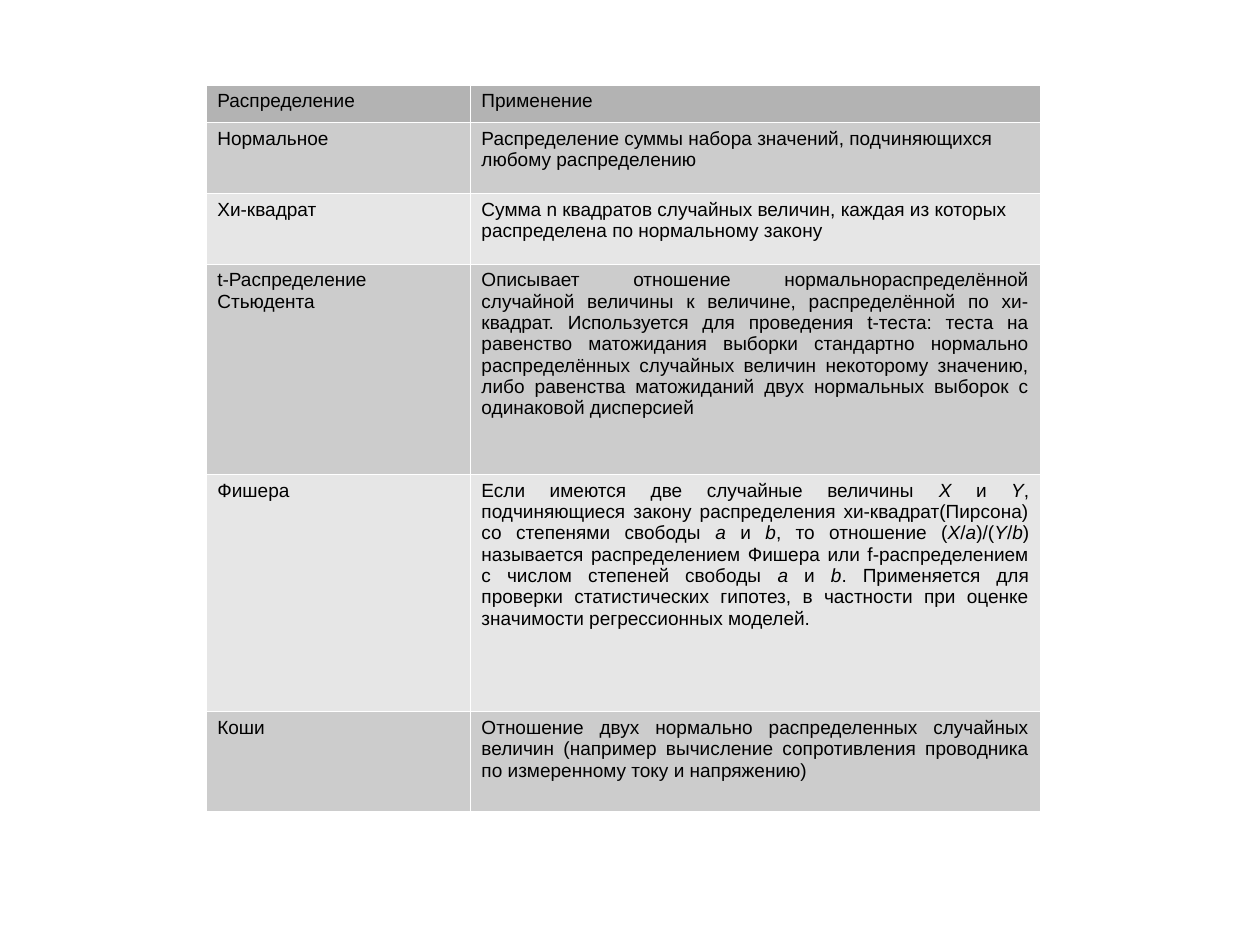
from lxml import etree
from pptx import Presentation
from pptx.dml.color import RGBColor
from pptx.enum.text import PP_ALIGN
from pptx.oxml.ns import qn
from pptx.util import Cm, Pt

LEFT, JUST = PP_ALIGN.LEFT, PP_ALIGN.JUSTIFY
BLANK = 6
HEAD, DARK, LIGHT = "B3B3B3", "CCCCCC", "E6E6E6"
COLS = [5.87, 12.67]
# Row height, alignment, name, use; asterisks enclose italics
ROWS = [
    (0.84, LEFT, "Распределение", "Применение"),
    (1.57, LEFT, "Нормальное",
     "Распределение суммы набора значений, подчиняющихся любому "
     "распределению"),
    (1.57, LEFT, "Хи-квадрат",
     "Сумма n квадратов случайных величин, каждая из которых распределена "
     "по нормальному закону"),
    (4.67, JUST, "t-Распределение Стьюдента",
     "Описывает отношение нормальнораспределённой случайной величины "
     "к величине, распределённой по хи-квадрат. Используется для проведения "
     "t-теста: теста на равенство матожидания выборки стандартно нормально "
     "распределённых случайных величин некоторому значению, либо равенства "
     "матожиданий двух нормальных выборок с одинаковой дисперсией"),
    (5.28, JUST, "Фишера",
     "Если имеются две случайные величины *X *и *Y*, подчиняющиеся закону "
     "распределения хи-квадрат(Пирсона) со степенями свободы *a *и *b*, "
     "то отношение (*X*/*a*)/(*Y*/*b*) называется распределением Фишера или "
     "f-распределением с числом степеней свободы *a *и *b*. Применяется для "
     "проверки статистических гипотез, в частности при оценке значимости "
     "регрессионных моделей."),
    (2.21, JUST, "Коши",
     "Отношение двух нормально распределенных случайных величин (например "
     "вычисление сопротивления проводника по измеренному току и напряжению)"),
]


def color(code):
    return RGBColor.from_string(code)


def add_runs(para, text):
    for i, part in enumerate(text.split("*")):
        run = para.add_run()
        run.text = part
        font = run.font
        font.name, font.size = "Arial", Pt(12)
        font.bold, font.italic = False, i % 2 == 1
        font.color.rgb = color("000000")


def add_edges(cell):
    props = cell._tc.get_or_add_tcPr()
    for side in ("lnL", "lnR", "lnT", "lnB"):
        line = etree.SubElement(props, qn("a:" + side), w=str(Pt(0.06)))
        fill = etree.SubElement(line, qn("a:solidFill"))
        etree.SubElement(fill, qn("a:srgbClr"), val="FFFFFF")


def fill_cell(cell, text, align, shade):
    cell.margin_left = cell.margin_right = Cm(0.25)
    cell.margin_top = cell.margin_bottom = Cm(0.13)
    add_edges(cell)
    cell.fill.solid()
    cell.fill.fore_color.rgb = color(shade)
    para = cell.text_frame.paragraphs[0]
    para.alignment = align
    add_runs(para, text)


def add_grid(slide, left, top, width, height):
    table = slide.shapes.add_table(
        len(ROWS), len(COLS), Cm(left), Cm(top), Cm(width), Cm(height)).table
    # Column widths and row heights share out the box
    for col, part in zip(table.columns, COLS):
        col.width = Cm(width * part / sum(COLS))
    total = sum(row[0] for row in ROWS)
    for r, (part, align, *texts) in enumerate(ROWS):
        table.rows[r].height = Cm(height * part / total)
        # Header shade, then alternating bands
        shade = HEAD if r == 0 else DARK if r % 2 else LIGHT
        for c, text in enumerate(texts):
            fill_cell(table.cell(r, c), text, align, shade)


def main():
    deck = Presentation()
    deck.slide_width, deck.slide_height = Cm(28), Cm(21)
    slide = deck.slides.add_slide(deck.slide_layouts[BLANK])
    # Table of distributions
    add_grid(slide, 4.58, 1.88, 18.54, 16.14)
    deck.save("out.pptx")


if __name__ == "__main__":
    main()
